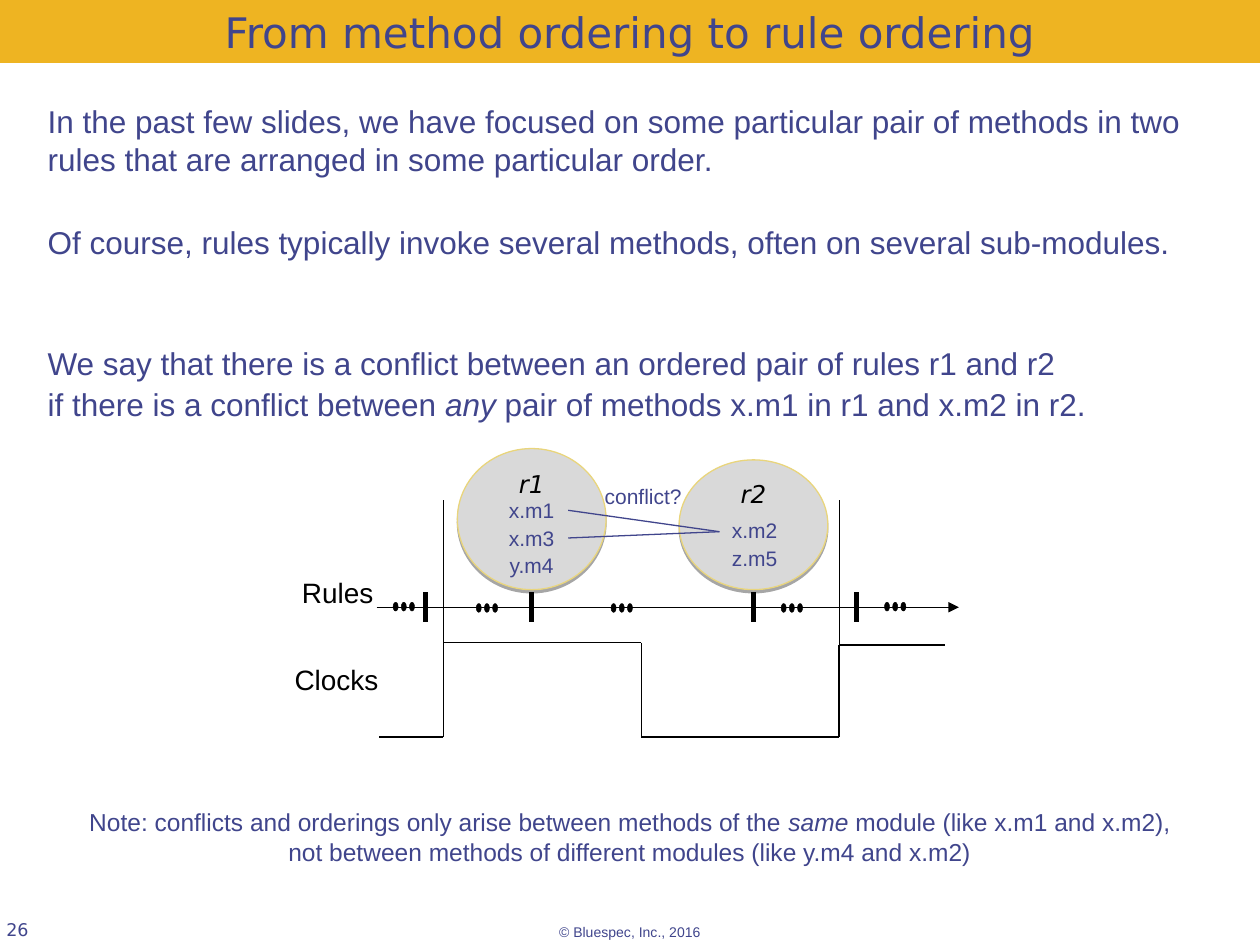
import itertools

import pptx
import pptx.dml.color
import pptx.enum.shapes
import pptx.enum.text
import pptx.oxml
import pptx.oxml.ns
import pptx.util

COLUMNS, ROWS = 100, 75  # grid of square cells, a tenth of an inch each
COLORS = {"indigo": "40458C", "gold": "EEB422", "pale_gold": "E9D57C",
          "gray": "D9D9D9", "black": "000000"}
NAMESPACE = pptx.oxml.ns.nsdecls("a")
SHADOW = (f'<a:effectLst {NAMESPACE}><a:outerShdw dist="22860" dir="5400000" rotWithShape="0">'
          '<a:srgbClr val="000000"><a:alpha val="35000"/></a:srgbClr></a:outerShdw></a:effectLst>')
ALIGN = pptx.enum.text.PP_ALIGN
ANCHOR = pptx.enum.text.MSO_ANCHOR
SHAPE = pptx.enum.shapes.MSO_SHAPE


def color(name):
    return pptx.dml.color.RGBColor.from_string(COLORS[name])


def write(shape, text, size=18, font="Arial", fill="indigo", align=ALIGN.LEFT, anchor=ANCHOR.TOP,
          margins=(0.1, 0.05), wrap=True, italic=False, space=0):
    """Fill a shape with text; a line is a paragraph, *stars* switch italics."""
    frame = shape.text_frame
    frame.word_wrap = wrap
    frame.vertical_anchor = anchor
    frame.margin_left = frame.margin_right = pptx.util.Inches(margins[0])
    frame.margin_top = frame.margin_bottom = pptx.util.Inches(margins[1])
    for index, line in enumerate(text.split("\n")):
        paragraph = frame.add_paragraph() if index else frame.paragraphs[0]
        paragraph.alignment = align
        if index:
            paragraph.space_before = pptx.util.Pt(space)
        for part, words in enumerate(line.split("*")):
            run = paragraph.add_run()
            run.text = words
            run.font.name = font
            run.font.size = pptx.util.Pt(size)
            run.font.italic = italic or part % 2 == 1
            run.font.color.rgb = color(fill)


class SlideBuilder:
    def __init__(self, presentation):
        self.cell_width = presentation.slide_width / COLUMNS
        self.cell_height = presentation.slide_height / ROWS
        self.slide = presentation.slides.add_slide(presentation.slide_layouts[6])

    def place(self, *lengths):
        """Turn alternating columns and rows into slide lengths."""
        cells = itertools.cycle((self.cell_width, self.cell_height))
        return [round(length * cell) for length, cell in zip(lengths, cells)]

    def text(self, box, text, **style):
        write(self.slide.shapes.add_textbox(*self.place(*box)), text, **style)

    def shape(self, kind, box, fill, line=None, weight=0.25, shadow=False):
        shape = self.slide.shapes.add_shape(kind, *self.place(*box))
        shape.fill.solid()
        shape.fill.fore_color.rgb = color(fill)
        if line:
            shape.line.color.rgb = color(line)
            shape.line.width = pptx.util.Pt(weight)
        else:
            shape.line.fill.background()
        if shadow:
            shape._element.spPr.append(pptx.oxml.parse_xml(SHADOW))
        else:
            shape.shadow.inherit = False
        return shape

    def line(self, start, end, weight=0.75, fill="black", arrow=False):
        connector = self.slide.shapes.add_connector(
            pptx.enum.shapes.MSO_CONNECTOR.STRAIGHT, *self.place(*start, *end))
        connector.line.color.rgb = color(fill)
        connector.line.width = pptx.util.Pt(weight)
        if arrow:
            connector.line._get_or_add_ln().append(
                pptx.oxml.parse_xml(f'<a:tailEnd {NAMESPACE} type="triangle"/>'))
        connector._element.spPr.append(pptx.oxml.parse_xml(f"<a:effectLst {NAMESPACE}/>"))

    def ellipsis(self, left, top):
        for dot in range(3):
            self.shape(SHAPE.OVAL, (left + 0.65 * dot, top, 0.4, 0.7), "black", "black")

    def rule(self, box, name):
        oval = self.shape(SHAPE.OVAL, box, "gray", "pale_gold", weight=0.75, shadow=True)
        write(oval, name, size=14, font="DejaVu Sans", fill="black", align=ALIGN.CENTER,
              margins=(0, 0), italic=True)

    def label(self, box, text, size=12, fill="indigo"):
        self.text(box, text, size=size, fill=fill, align=ALIGN.CENTER, wrap=False)


def main():
    presentation = pptx.Presentation()
    presentation.slide_width = pptx.util.Inches(10)
    presentation.slide_height = pptx.util.Inches(7.5)
    builder = SlideBuilder(presentation)

    # Footer and title
    builder.label((42, 72.8, 16, 2.2), "© Bluespec, Inc., 2016", size=8)
    builder.text((0.5, 69.6, 20.8, 5), "26", size=10, font="DejaVu Sans",
                 anchor=ANCHOR.BOTTOM, margins=(0, 0))
    title = builder.shape(SHAPE.RECTANGLE, (0, 0, COLUMNS, 5), "gold")
    write(title, "From method ordering to rule ordering", size=24, font="DejaVu Sans",
          align=ALIGN.CENTER, anchor=ANCHOR.BOTTOM, margins=(0, 0.05))

    # Body statements
    statements = [
        (7.6, 7, "In the past few slides, we have focused on some particular pair of methods "
                 "in two rules that are arranged in some particular order."),
        (17.2, 4, "Of course, rules typically invoke several methods, often on several sub-modules."),
        (26.8, 7.2, "We say that there is a conflict between an ordered pair of rules r1 and r2\n"
                    "if there is a conflict between *any* pair of methods x.m1 in r1 and x.m2 in r2."),
    ]
    for top, height, text in statements:
        builder.text((2.8, top, 94.3, height), text, space=1.8)

    # Rules on the time line
    builder.rule((36.3, 35.6, 11.8, 11.2), "r1")
    builder.rule((53.9, 36.5, 11.8, 10.3), "r2")
    builder.line((29.9, 48.2), (76.1, 48.2), weight=0.25, arrow=True)
    for column in (33.8, 42.2, 59.8, 68):
        builder.line((column, 47), (column, 49.4), weight=3)
    for left, top in ((31.2, 47.8), (37.8, 47.9), (48.5, 47.9), (62, 47.9), (70.2, 47.8)):
        builder.ellipsis(left, top)
    builder.label((20.5, 45.2, 12.6, 3.7), "Rules", size=16, fill="black")

    # Clock edges and waveform
    for column, bottom in ((35.2, 52.5), (66.6, 53.1)):
        builder.line((column, 39.7), (column, bottom), weight=0.25)
    wave = [(30.1, 58.5), (35.2, 58.5), (35.2, 51), (50.9, 51), (50.9, 58.5),
            (66.6, 58.5), (66.6, 51.2), (75, 51.2)]
    for start, end in zip(wave, wave[1:]):
        builder.line(start, end)
    builder.label((19.9, 52.1, 13.6, 3.7), "Clocks", size=16, fill="black")

    # Methods and their possible conflicts
    for left, top, methods in ((39.4, 39, ("x.m1", "x.m3", "y.m4")), (57.1, 40.6, ("x.m2", "z.m5"))):
        for row, method in enumerate(methods):
            builder.label((left, top + 2.2 * row, 5.6, 3), method)
    for row in (40.5, 42.7):
        builder.line((45.1, row), (57.1, 42.2), fill="indigo")
    builder.label((47, 37.9, 8.1, 3), "conflict?")

    # Closing note
    builder.text((6, 63.6, 88, 5.7),
                 "Note: conflicts and orderings only arise between methods of the *same* module "
                 "(like x.m1 and x.m2), not between methods of different modules (like y.m4 and x.m2)",
                 size=14, align=ALIGN.CENTER)

    presentation.save("out.pptx")


if __name__ == "__main__":
    main()
